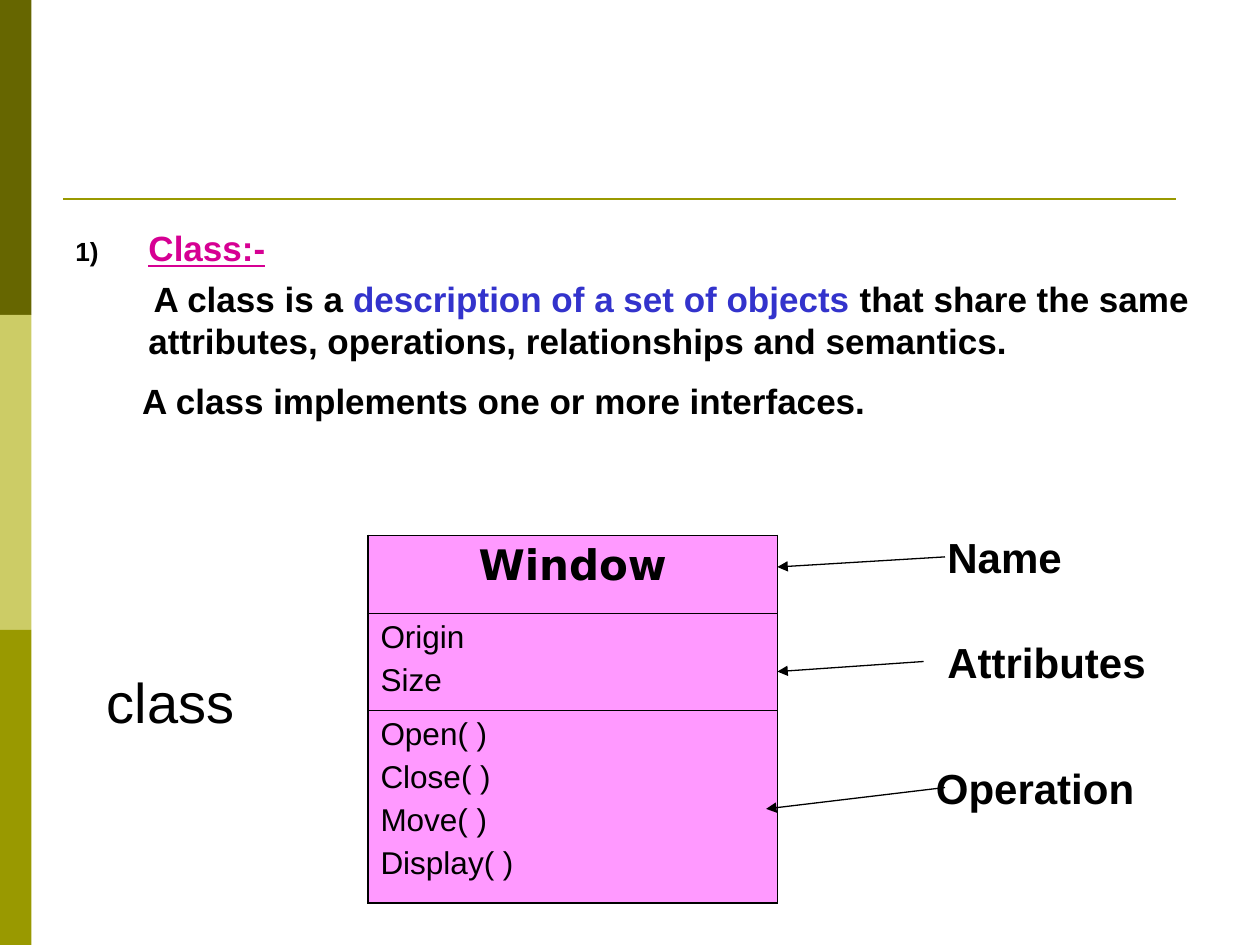
from lxml import etree
from pptx import Presentation
from pptx.dml.color import RGBColor
from pptx.enum.shapes import MSO_CONNECTOR as CONN, MSO_SHAPE as SHAPE
from pptx.enum.text import PP_ALIGN as ALIGN
from pptx.oxml.ns import qn
from pptx.util import Inches, Pt

BLACK, OLIVE, PINK = "000000", "999900", "FF99FF"


def rgb(hex_color):
    return RGBColor.from_string(hex_color)


def sub(parent, tag, **attrs):
    return etree.SubElement(parent, qn(tag), {k: str(v) for k, v in attrs.items()})


def add_run(p, text, size=20, color=BLACK, bold=False, underline=False, font="Arial"):
    r = p.add_run()
    r.text = text
    r.font.name, r.font.size = font, Pt(size)
    r.font.bold, r.font.underline = bold, underline
    r.font.color.rgb = rgb(color)


def next_paragraph(tf, before=0, left=0, indent=0):
    first = not tf.paragraphs[0].runs
    p = tf.paragraphs[0] if first else tf.add_paragraph()
    p.space_before = Pt(0 if first else before)
    pPr = p._p.get_or_add_pPr()
    pPr.set("marL", str(Inches(left)))
    pPr.set("indent", str(Inches(indent)))
    return p


def add_box(slide, x, y, w, h):
    tf = slide.shapes.add_textbox(Inches(x), Inches(y), Inches(w), Inches(h)).text_frame
    tf.word_wrap = True
    return tf


def add_label(slide, text, x, y, w, h=0.5, **fmt):
    add_run(next_paragraph(add_box(slide, x, y, w, h)), text, **fmt)


def add_bar(slide, x, y, w, h, color):
    s = slide.shapes.add_shape(SHAPE.RECTANGLE, Inches(x), Inches(y), Inches(w), Inches(h))
    s.shadow.inherit = False
    s.fill.solid()
    s.fill.fore_color.rgb = rgb(color)
    s.line.fill.background()


def add_line(slide, x1, y1, x2, y2, color=BLACK, width=0.75, arrow=False):
    c = slide.shapes.add_connector(
        CONN.STRAIGHT, Inches(x1), Inches(y1), Inches(x2), Inches(y2))
    c.line.color.rgb = rgb(color)
    c.line.width = Pt(width)
    if arrow:
        sub(c.line._get_or_add_ln(), "a:tailEnd", type="triangle")
    sub(c._element.spPr, "a:effectLst")


def add_number(p):
    pPr = p._p.get_or_add_pPr()
    sub(sub(pPr, "a:buClr"), "a:srgbClr", val=BLACK)
    sub(pPr, "a:buSzPct", val=75000)
    sub(pPr, "a:buFont", typeface="Arial")
    sub(pPr, "a:buAutoNum", type="arabicParenR")


def add_definition(slide):
    tf = add_box(slide, 0.5, 1.75, 9.08, 5.42)
    p = next_paragraph(tf, left=0.58, indent=-0.58)
    add_number(p)
    add_run(p, "Class:-", color="D60093", bold=True, underline=True)

    p = next_paragraph(tf, before=5, left=0.58, indent=0.04)
    add_run(p, "A class is a ", bold=True)
    add_run(p, "description of a set of objects", color="3333CC", bold=True)
    add_run(p, " that share the same attributes, operations, "
               "relationships and semantics.", bold=True)

    p = next_paragraph(tf, before=10, left=0.53)
    add_run(p, "A class implements one or more interfaces.", bold=True)


def format_cell(cell, top, bottom):
    tcPr = cell._tc.get_or_add_tcPr()
    for side, width in (("L", 1.08), ("R", 1.08), ("T", top), ("B", bottom)):
        ln = sub(tcPr, f"a:ln{side}", w=Pt(width))
        sub(sub(ln, "a:solidFill"), "a:srgbClr", val=BLACK)
    cell.fill.solid()
    cell.fill.fore_color.rgb = rgb(PINK)


def add_class_table(slide, compartments, heights):
    table = slide.shapes.add_table(
        len(compartments), 1, Inches(2.92), Inches(4.25),
        Inches(3.25), Inches(sum(heights))).table
    table.first_row = table.horz_banding = False
    last = len(compartments) - 1
    for i, (lines, height) in enumerate(zip(compartments, heights)):
        table.rows[i].height = Inches(height)
        cell = table.cell(i, 0)
        format_cell(cell, 1.08 if i == 0 else 0.45, 1.08 if i == last else 0.45)
        for line in lines:
            p = next_paragraph(cell.text_frame, before=4.5)
            if i == 0:
                p.alignment = ALIGN.CENTER
                add_run(p, line, size=24, bold=True, font="DejaVu Sans")
            else:
                add_run(p, line, size=18)


def main():
    prs = Presentation()
    prs.slide_width, prs.slide_height = Inches(10), Inches(7.5)
    slide = prs.slides.add_slide(prs.slide_layouts[6])

    # Side bars and title rule
    for i, color in enumerate(("666600", "CCCC66", OLIVE)):
        add_bar(slide, 0, 2.5 * i, 0.25, 2.5, color)
    add_line(slide, 0.5, 1.58, 9.33, 1.58, color=OLIVE, width=1.5)

    add_definition(slide)

    # Class diagram
    add_class_table(slide, [
        ["Window"],
        ["Origin", "Size"],
        ["Open( )", "Close( )", "Move( )", "Display( )"],
    ], [0.62, 0.77, 1.53])

    # Arrows to the compartments
    for ends in ((7.5, 4.42, 6.17, 4.5), (7.33, 5.25, 6.17, 5.33), (7.5, 6.25, 6.08, 6.42)):
        add_line(slide, *ends, arrow=True)

    # Labels
    for text, x, y, w in (("Name", 7.42, 4.17, 1.75),
                          ("Attributes", 7.42, 5, 2.08),
                          ("Operation", 7.33, 6, 1.83)):
        add_label(slide, text, x, y, w, size=24, bold=True)
    add_label(slide, "class", 0.75, 5.25, 1.58, 0.64, size=32)

    prs.save("out.pptx")


if __name__ == "__main__":
    main()
